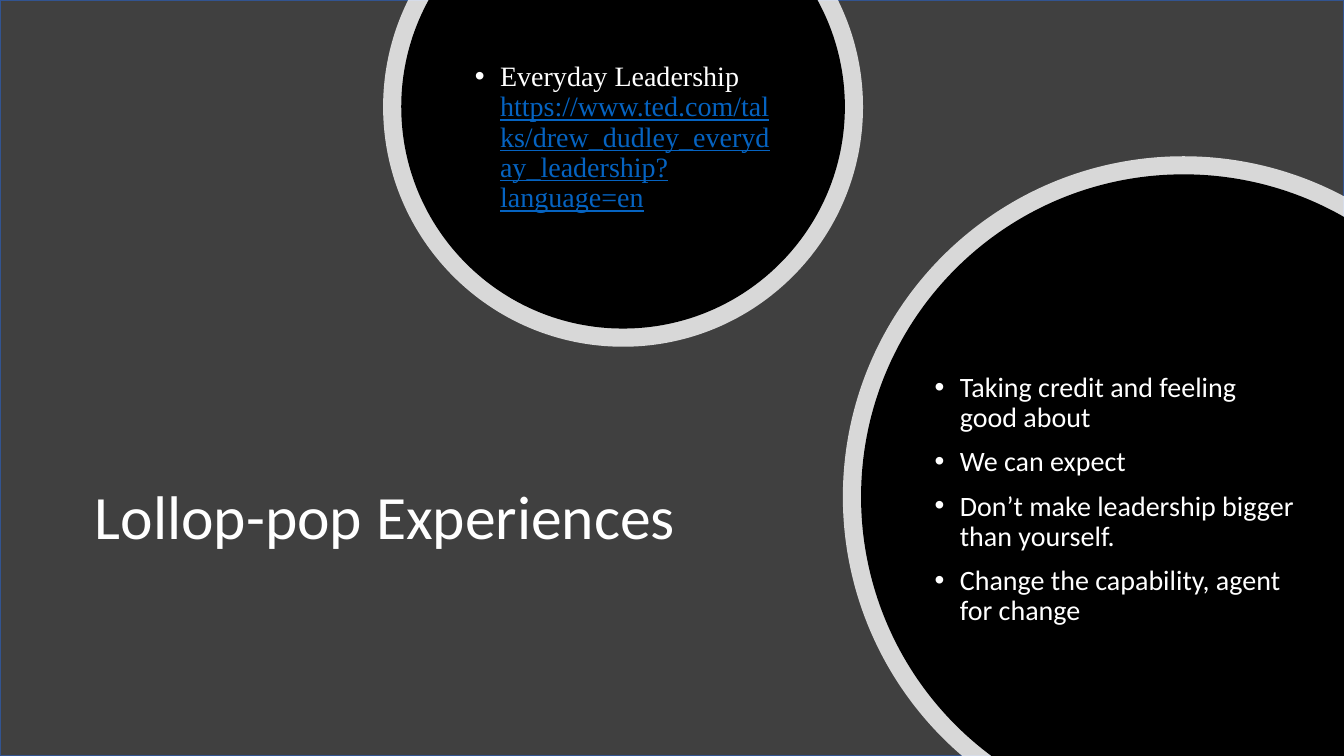
from math import acos, asin, cos, degrees, radians, sin, tan

from lxml import etree
from pptx import Presentation
from pptx.dml.color import RGBColor
from pptx.enum.shapes import MSO_SHAPE
from pptx.enum.text import MSO_ANCHOR, MSO_AUTO_SIZE, PP_ALIGN
from pptx.oxml.ns import qn
from pptx.util import Inches, Pt

RECT = MSO_SHAPE.RECTANGLE
MIDDLE = MSO_ANCHOR.MIDDLE
FIXED = MSO_AUTO_SIZE.NONE
LEFT = PP_ALIGN.LEFT
WIDE, HIGH = 13.33, 7.5
RIM = 0.18
WHITE, BLACK, GREY, BLUE = "FFFFFF", "000000", "404040", "0563C1"

LINK = "https://www.ted.com/talks/drew_dudley_everyday_leadership?language=en"
POINTS = [
    "Taking credit and feeling good about",
    "We can expect",
    "Don’t make leadership bigger than yourself.",
    "Change the capability, agent for change",
]


def paint(part, color):
    """Give a fill or a colour from a hex string."""
    if hasattr(part, "solid"):
        part.solid()
        part = part.fore_color
    part.rgb = RGBColor.from_string(color)


def style(font, name, size, color=WHITE):
    font.name = name
    font.size = Pt(size)
    paint(font.color, color)


def backdrop(slide):
    paint(slide.background.fill, BLACK)
    panel = slide.shapes.add_shape(RECT, 0, 0, Inches(WIDE), Inches(HIGH))
    panel.shadow.inherit = False
    paint(panel.fill, GREY)
    paint(panel.line.color, "325491")
    panel.line.width = Pt(1)


def spot(x, y, radius, angle, bend=0):
    """Find a point on a circle, moved along its tangent by bend."""
    turn = radians(angle)
    return (Inches(x + radius * (cos(turn) - bend * sin(turn))),
            Inches(y + radius * (sin(turn) + bend * cos(turn))))


def disc(slide, circle, start, end, corner, color, alpha=100):
    """Draw the part of a circle between two angles, with curved sides."""
    stops = [start, *(a for a in range(0, 360, 90) if start < a < end), end]
    dots = [spot(*circle, angle) for angle in stops]
    pen = slide.shapes.build_freeform(*dots[0])
    pen.add_line_segments(dots[1:] + corner, close=True)
    shape = pen.convert_to_shape()
    shape.shadow.inherit = False
    paint(shape.fill, color)
    shape.line.fill.background()

    # Turn the straight sides between the stops into arcs
    sides = list(shape.element.iter(qn("a:lnTo")))
    for side, a, b in zip(sides, stops, stops[1:]):
        bend = 4 / 3 * tan(radians(b - a) / 4)
        side.tag = qn("a:cubicBezTo")
        grips = spot(*circle, a, bend), spot(*circle, b, -bend)
        for index, (across, down) in enumerate(grips):
            grip = etree.Element(qn("a:pt"))
            grip.set("x", str(across - shape.left))
            grip.set("y", str(down - shape.top))
            side.insert(index, grip)

    if alpha < 100:
        tint = shape.element.spPr.find(".//" + qn("a:srgbClr"))
        etree.SubElement(tint, qn("a:alpha")).set("val", str(alpha * 1000))


def upper(slide, x, y, radius):
    """Ringed circle that is cut off by the top edge."""
    for size, color, alpha in ((radius, WHITE, 80), (radius - RIM, BLACK, 100)):
        edge = degrees(asin(y / size))
        disc(slide, (x, y, size), -edge, 180 + edge, [], color, alpha)


def lower(slide, x, y, radius):
    """Ringed circle that is cut off by the right and bottom edges."""
    corner = [(Inches(WIDE), Inches(HIGH))]
    for size, color, alpha in ((radius, WHITE, 80), (radius - RIM, BLACK, 100)):
        start = 180 - degrees(asin((HIGH - y) / size))
        end = 360 - degrees(acos((WIDE - x) / size))
        disc(slide, (x, y, size), start, end, corner, color, alpha)


def place(slide, holder, box):
    """Move a placeholder into its box, in front of the shapes."""
    holder.left, holder.top, holder.width, holder.height = map(Inches, box)
    slide.shapes.element.append(holder.element)
    frame = holder.text_frame
    frame.word_wrap = True
    frame.auto_size = FIXED
    frame.vertical_anchor = MIDDLE
    return frame


def heading(slide, holder, box, text):
    frame = place(slide, holder, box)
    frame.text = text
    para = frame.paragraphs[0]
    para.alignment = LEFT
    para.line_spacing = 0.9
    style(para.runs[0].font, "Calibri", 44)


def bullets(slide, holder, box, items, face):
    frame = place(slide, holder, box)
    frame.text = "\n".join(items)
    for index, para in enumerate(frame.paragraphs):
        para.line_spacing = 0.9
        para.space_before = Pt(10 if index else 0)
        props = para._p.get_or_add_pPr()
        props.set("marL", str(Inches(0.25)))
        props.set("indent", str(Inches(-0.25)))
        etree.SubElement(props, qn("a:buFont")).set("typeface", "Arial")
        etree.SubElement(props, qn("a:buChar")).set("char", "•")
        style(para.runs[0].font, face, 20)
    return frame


def main():
    deck = Presentation()
    deck.slide_width, deck.slide_height = Inches(WIDE), Inches(HIGH)
    slide = deck.slides.add_slide(deck.slide_layouts[3])
    title, talk, notes = slide.placeholders

    # Backdrop and circles
    backdrop(slide)
    upper(slide, 6.18, 1.06, 2.38)
    lower(slide, 11.74, 4.93, 3.38)

    # Title
    heading(slide, title, (0.84, 3.83, 6.62, 2.65), "Lollop-pop Experiences")

    # Talk and its address
    frame = bullets(slide, talk, (4.61, 0.39, 3.15, 1.96),
                    ["Everyday Leadership "], "Times New Roman")
    run = frame.paragraphs[0].add_run()
    run.text = LINK
    style(run.font, "Times New Roman", 20, BLUE)
    run.font.underline = True

    # Lessons
    bullets(slide, notes, (9.17, 3.44, 3.8, 3.04), POINTS, "Calibri")
    deck.save("out.pptx")


if __name__ == "__main__":
    main()
